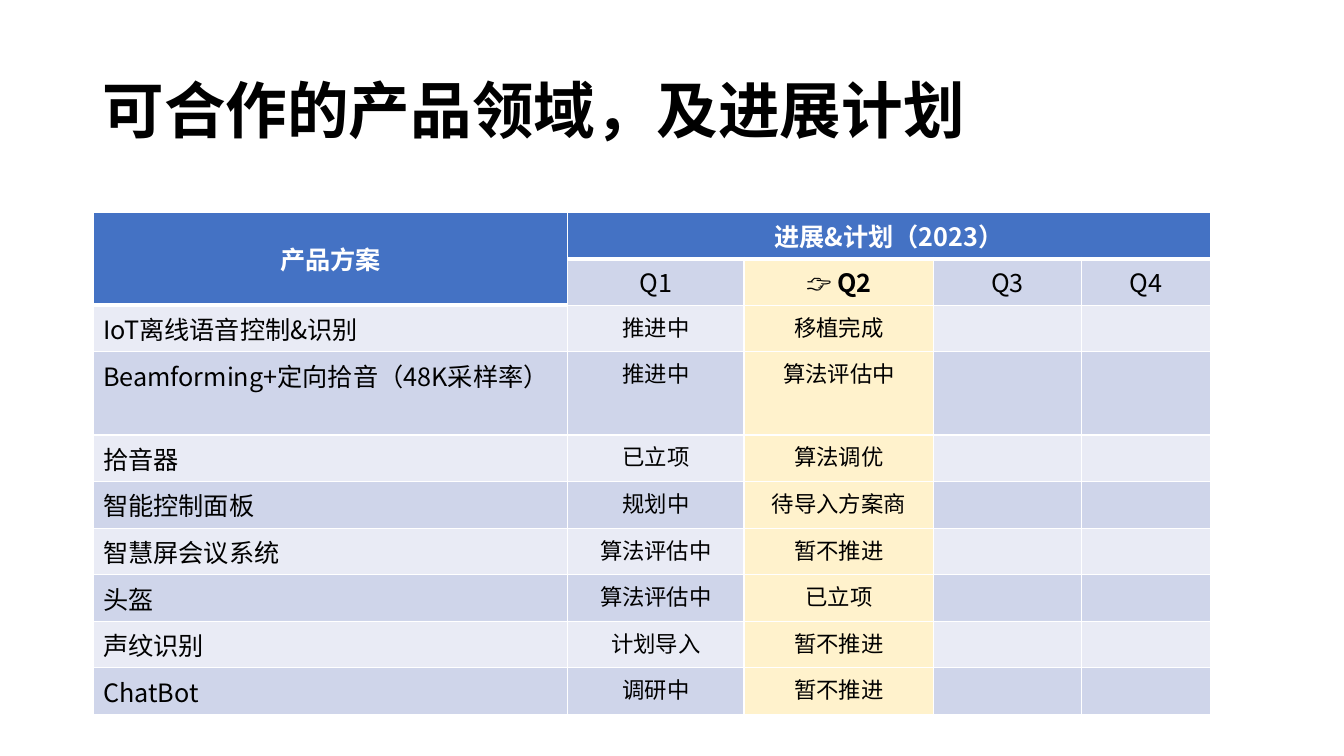
from lxml.etree import SubElement
from pptx import Presentation
from pptx.dml.color import RGBColor
from pptx.enum.text import MSO_ANCHOR as Anchor, MSO_AUTO_SIZE as AutoSize, PP_ALIGN as Align
from pptx.oxml.ns import qn
from pptx.util import Pt

FONT = "Noto Sans CJK SC"
COLORS = {
    "black": "000000",
    "white": "FFFFFF",
    "header": "4472C4",
    "light": "E9EBF5",
    "dark": "CFD5EA",
    "current": "FFF2CC",
}
COLUMN_WIDTHS = [339, 126, 135.5, 105.5, 92]
ROW_HEIGHT = 30
CURRENT_QUARTER = 2
HEADERS = [
    ["产品方案", "进展&计划（2023）", "", "", ""],
    ["", "Q1", "👉 Q2", "Q3", "Q4"],
]
PRODUCTS = [
    ["IoT离线语音控制&识别", "推进中", "移植完成", "", ""],
    ["Beamforming+定向拾音（48K采样率）", "推进中", "算法评估中", "", ""],
    ["拾音器", "已立项", "算法调优", "", ""],
    ["智能控制面板", "规划中", "待导入方案商", "", ""],
    ["智慧屏会议系统", "算法评估中", "暂不推进", "", ""],
    ["头盔", "算法评估中", "已立项", "", ""],
    ["声纹识别", "计划导入", "暂不推进", "", ""],
    ["ChatBot", "调研中", "暂不推进", "", ""],
]


def write(frame, text, size=18, color="black", bold=False, align=Align.LEFT, spacing=1.0):
    para = frame.paragraphs[0]
    para.alignment = align
    para.line_spacing = spacing
    span = para.add_run()
    span.text = text
    span.font.size = Pt(size)
    span.font.bold = bold
    span.font.name = FONT
    span.font.color.rgb = RGBColor.from_string(COLORS[color])
    SubElement(span.font._element, qn("a:ea"), typeface=FONT)


def draw_borders(cell, thick_sides):
    properties = cell._tc.get_or_add_tcPr()
    for side in "LRTB":
        width = Pt(3 if side in thick_sides else 1)
        line = SubElement(properties, qn(f"a:ln{side}"), w=str(width))
        fill = SubElement(line, qn("a:solidFill"))
        SubElement(fill, qn("a:srgbClr"), val=COLORS["white"])


deck = Presentation()
deck.slide_width, deck.slide_height = Pt(960), Pt(540)
page = deck.slides.add_slide(deck.slide_layouts[5])

title = page.shapes.title
title.left, title.top, title.width, title.height = Pt(66), Pt(28.75), Pt(828), Pt(104.5)
title.text_frame.word_wrap = True
title.text_frame.auto_size = AutoSize.NONE
title.text_frame.vertical_anchor = Anchor.MIDDLE
write(title.text_frame, "可合作的产品领域，及进展计划", size=44, bold=True, spacing=0.9)

rows = HEADERS + PRODUCTS
plan = page.shapes.add_table(
    len(rows), len(COLUMN_WIDTHS), Pt(66.5), Pt(151.5),
    Pt(sum(COLUMN_WIDTHS)), Pt(ROW_HEIGHT * len(rows)),
).table
for column, width in zip(plan.columns, COLUMN_WIDTHS):
    column.width = Pt(width)
plan.cell(0, 0).merge(plan.cell(1, 0))
plan.cell(0, 1).merge(plan.cell(0, 4))

for r, values in enumerate(rows):
    plan.rows[r].height = Pt(ROW_HEIGHT)
    for c, text in enumerate(values):
        cell = plan.cell(r, c)
        is_header = r == 0 or (r == 1 and c == 0)
        is_product = r >= len(HEADERS)
        last_header = 1 if c == 0 else 0
        thick_sides = "B" if is_header else "T" if r == last_header + 1 else ""
        draw_borders(cell, thick_sides)
        if is_header:
            shade = "header"
        elif c == CURRENT_QUARTER:
            shade = "current"
        else:
            shade = "dark" if r % 2 else "light"
        cell.fill.solid()
        cell.fill.fore_color.rgb = RGBColor.from_string(COLORS[shade])
        if text:
            write(
                cell.text_frame, text,
                size=16 if is_product and c else 18,
                color="white" if is_header else "black",
                bold=is_header or (r == 1 and c == CURRENT_QUARTER),
                align=Align.LEFT if is_product and c == 0 else Align.CENTER,
            )
plan.cell(0, 0).vertical_anchor = Anchor.MIDDLE

deck.save("out.pptx")
